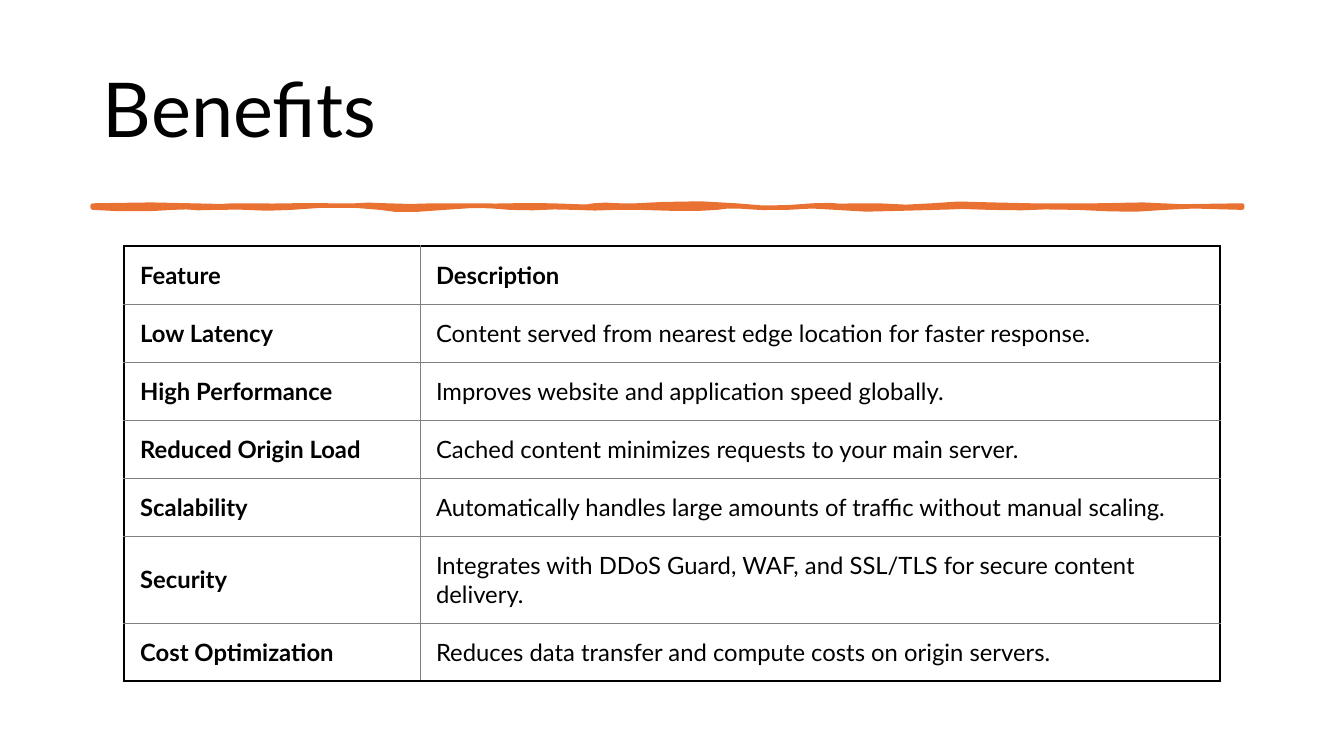
from dataclasses import dataclass

from lxml.etree import SubElement
from pptx import Presentation
from pptx.dml.color import RGBColor
from pptx.enum.text import MSO_ANCHOR, MSO_AUTO_SIZE, PP_ALIGN
from pptx.oxml import parse_xml
from pptx.oxml.ns import nsdecls, qn
from pptx.util import Inches, Pt


@dataclass(frozen=True)
class Theme:
    font: str = "Lato"
    ink: str = "000000"
    grid: str = "808080"
    accent: str = "E97132"
    title_size: float = 54
    table_size: float = 17
    outer_width: float = 1.5
    inner_width: float = 0.5
    brush_width: float = 3.25


THEME = Theme()
WIDTH, HEIGHT = Inches(13.33), Inches(7.5)

COLUMN_SHARES = [0.27, 0.73]
ROW_WEIGHTS = [1, 1, 1, 1, 1, 1.51, 1]
BENEFITS = [
    ("Feature", "Description"),
    ("Low Latency", "Content served from nearest edge location for faster response."),
    ("High Performance", "Improves website and application speed globally."),
    ("Reduced Origin Load", "Cached content minimizes requests to your main server."),
    ("Scalability", "Automatically handles large amounts of traffic without manual scaling."),
    ("Security", "Integrates with DDoS Guard, WAF, and SSL/TLS for secure content delivery."),
    ("Cost Optimization", "Reduces data transfer and compute costs on origin servers."),
]

# Brush stroke edges in inches: each curve is (control x, control y, control x, control y, end x)
TOP_Y, BOTTOM_Y = 2.04, 2.06
LEFT_X, RIGHT_X = 0.92, 12.32
TOP_EDGE = [
    (1.19, 2.04, 1.44, 2.02, 1.9), (2.37, 2.06, 2.2, 2.03, 2.44),
    (2.67, 2.05, 3.03, 2.03, 3.31), (3.6, 2.05, 3.59, 2.02, 3.84),
    (4.1, 2.06, 4.23, 2.03, 4.6), (4.98, 2.05, 5.14, 2.03, 5.48),
    (5.81, 2.05, 5.81, 2.06, 5.89), (5.98, 2.02, 6.15, 2.05, 6.31),
    (6.47, 2.03, 7.01, 2.0, 7.3), (7.59, 2.08, 7.81, 2.06, 8.06),
    (8.31, 2.02, 8.27, 2.06, 8.48), (8.68, 2.02, 9.01, 2.08, 9.24),
    (9.47, 2.0, 9.82, 2.04, 10.23), (10.63, 2.04, 10.63, 2.04, 10.87),
    (11.12, 2.04, 11.36, 2.02, 11.52), (11.68, 2.06, 12.03, 2.04, RIGHT_X),
]
BOTTOM_EDGE = [
    (12.05, 2.06, 11.89, 2.03, 11.56), (11.22, 2.09, 11.1, 2.08, 10.68),
    (10.27, 2.04, 10.23, 2.08, 9.81), (9.39, 2.04, 9.52, 2.06, 9.28),
    (9.04, 2.06, 8.51, 2.1, 8.29), (8.06, 2.02, 7.82, 2.08, 7.53),
    (7.24, 2.04, 7.25, 2.04, 7.11), (6.98, 2.08, 6.61, 2.07, 6.35),
    (6.09, 2.05, 5.9, 2.08, 5.7), (5.51, 2.04, 5.28, 2.08, 5.06),
    (4.83, 2.04, 4.73, 2.03, 4.41), (4.09, 2.09, 3.9, 2.09, 3.77),
    (3.63, 2.03, 3.1, 2.03, 2.89), (2.68, 2.09, 2.35, 2.04, 2.13),
    (1.92, 2.08, 1.89, 2.04, 1.71), (1.54, 2.08, 1.14, 2.08, LEFT_X),
]


def write_text(frame, text, size, bold=False, color=THEME.ink, spacing=1.0):
    para = frame.paragraphs[0]
    para.alignment = PP_ALIGN.LEFT
    para.line_spacing = spacing
    span = para.add_run()
    span.text = text
    span.font.name = THEME.font
    span.font.size = Pt(size)
    span.font.bold = bold
    span.font.color.rgb = RGBColor.from_string(color)


def add_title(page, text):
    title = page.shapes.title
    title.left, title.top = int(WIDTH * 0.069), Inches(0.4)
    title.width, title.height = int(WIDTH * 0.863), Inches(1.45)
    frame = title.text_frame
    frame.auto_size = MSO_AUTO_SIZE.NONE
    frame.vertical_anchor = MSO_ANCHOR.MIDDLE
    write_text(frame, text, THEME.title_size, spacing=0.9)


def trace_edge(start_x, edge_y, curves, steps=3):
    """Sample cubic curves that all begin and end at the same height."""
    points = []
    for x1, y1, x2, y2, end_x in curves:
        for step in range(1, steps + 1):
            t = step / steps
            a, b, c, d = (1 - t) ** 3, 3 * t * (1 - t) ** 2, 3 * t * t * (1 - t), t ** 3
            points.append((a * start_x + b * x1 + c * x2 + d * end_x,
                           (a + d) * edge_y + b * y1 + c * y2))
        start_x = end_x
    return points


def add_brush_stroke(page):
    outline = trace_edge(LEFT_X, TOP_Y, TOP_EDGE) + [(RIGHT_X, BOTTOM_Y)]
    outline += trace_edge(RIGHT_X, BOTTOM_Y, BOTTOM_EDGE)
    builder = page.shapes.build_freeform(Inches(LEFT_X), Inches(TOP_Y))
    builder.add_line_segments([(Inches(x), Inches(y)) for x, y in outline], close=True)
    stroke = builder.convert_to_shape()
    stroke.shadow.inherit = False
    color = RGBColor.from_string(THEME.accent)
    stroke.fill.solid()
    stroke.fill.fore_color.rgb = color
    stroke.line.color.rgb = color
    stroke.line.width = Pt(THEME.brush_width)
    SubElement(stroke.line._get_or_add_ln(), qn("a:round"))


def set_borders(cell, outer_sides):
    """Heavy lines on the table's outer sides, thin ones elsewhere."""
    properties = cell._tc.get_or_add_tcPr()
    for index, side in enumerate("LRTB"):
        outer = side in outer_sides
        color = THEME.ink if outer else THEME.grid
        width = Pt(THEME.outer_width if outer else THEME.inner_width)
        properties.insert(index, parse_xml(
            f'<a:ln{side} {nsdecls("a")} w="{width}"><a:solidFill>'
            f'<a:srgbClr val="{color}"/></a:solidFill></a:ln{side}>'))


def add_benefits_table(page):
    left, top = Inches(1.23), Inches(2.44)
    width, height = Inches(10.87), int(HEIGHT * 0.576)
    last_row, last_column = len(BENEFITS) - 1, len(COLUMN_SHARES) - 1
    table = page.shapes.add_table(len(BENEFITS), len(COLUMN_SHARES),
                                  left, top, width, height).table
    table.first_row = table.horz_banding = False
    for column, share in zip(table.columns, COLUMN_SHARES):
        column.width = int(width * share)
    for row, weight in zip(table.rows, ROW_WEIGHTS):
        row.height = int(height * weight / sum(ROW_WEIGHTS))

    for row, texts in enumerate(BENEFITS):
        for column, text in enumerate(texts):
            cell = table.cell(row, column)
            cell.fill.background()
            cell.vertical_anchor = MSO_ANCHOR.MIDDLE
            cell.margin_left, cell.margin_right = Inches(0.16), Inches(0.18)
            cell.margin_top = cell.margin_bottom = Inches(0.12)
            write_text(cell.text_frame, text, THEME.table_size,
                       bold=row == 0 or column == 0)
            edges = {"L": column == 0, "R": column == last_column,
                     "T": row == 0, "B": row == last_row}
            set_borders(cell, [side for side, outer in edges.items() if outer])


def main():
    deck = Presentation()
    deck.slide_width, deck.slide_height = WIDTH, HEIGHT
    page = deck.slides.add_slide(deck.slide_layouts[5])
    add_title(page, "Benefits")
    add_brush_stroke(page)
    add_benefits_table(page)
    deck.save("out.pptx")


if __name__ == "__main__":
    main()
